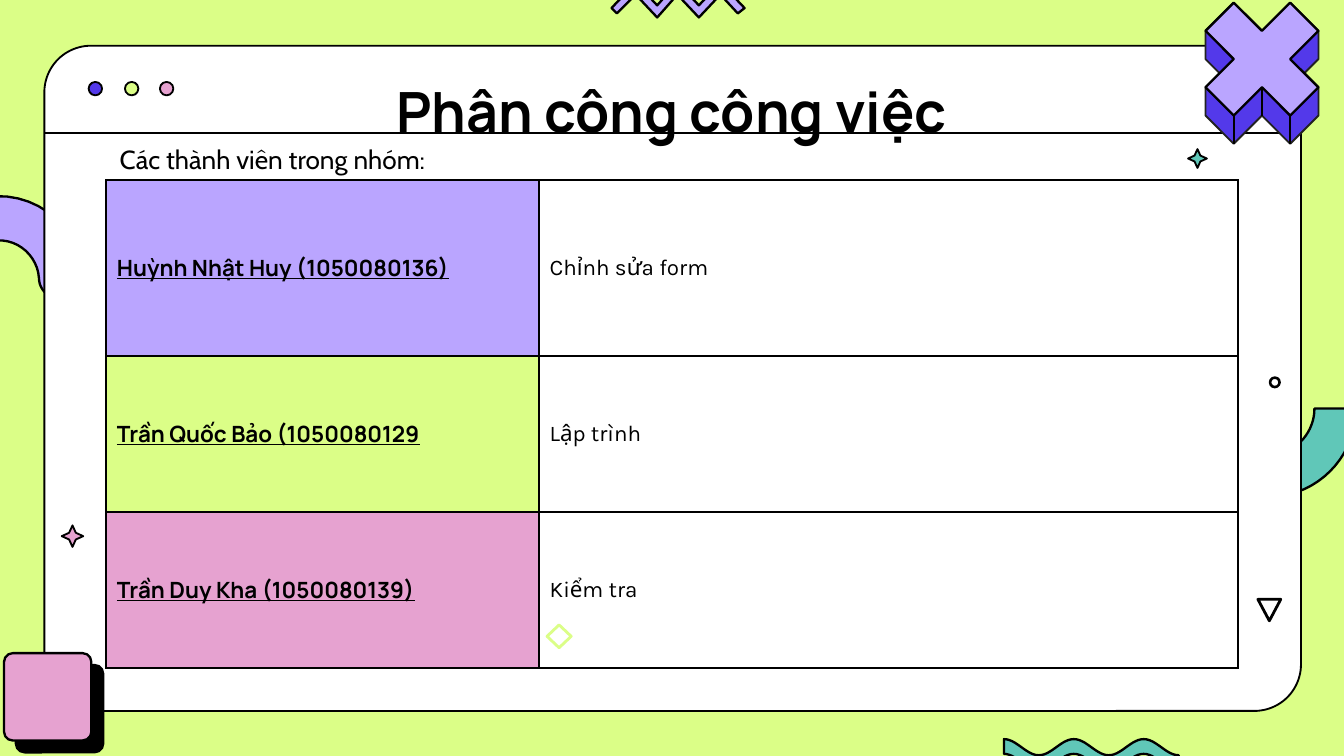
import math

import lxml.etree
import pptx
import pptx.dml.color
import pptx.enum.shapes
import pptx.enum.text
import pptx.oxml.ns
import pptx.util

Inches = pptx.util.Inches
Pt = pptx.util.Pt
RGBColor = pptx.dml.color.RGBColor
MSO_SHAPE = pptx.enum.shapes.MSO_SHAPE
PP_ALIGN = pptx.enum.text.PP_ALIGN
MSO_ANCHOR = pptx.enum.text.MSO_ANCHOR
qn = pptx.oxml.ns.qn

BLACK = RGBColor(0x00, 0x00, 0x00)
INK = RGBColor(0x22, 0x22, 0x21)
WHITE = RGBColor(0xFF, 0xFF, 0xFF)
LIME = RGBColor(0xDB, 0xFE, 0x87)
LILAC = RGBColor(0xBA, 0xA5, 0xFF)
VIOLET = RGBColor(0x53, 0x39, 0xEA)
PINK = RGBColor(0xE6, 0xA2, 0xD0)
TEAL = RGBColor(0x60, 0xC7, 0xB8)


def sub(parent, tag, **attrs):
    """Append a DrawingML child element with the given attributes."""
    return lxml.etree.SubElement(parent, qn(tag), {k: str(v) for k, v in attrs.items()})


def curve(start, *beziers, steps=12):
    """Return the points along a chain of cubic curves."""
    pts = [start]
    for x1, y1, x2, y2, x3, y3 in beziers:
        x0, y0 = pts[-1]
        for i in range(1, steps + 1):
            t = i / steps
            u = 1 - t
            a, b, c, d = u ** 3, 3 * u * u * t, 3 * u * t * t, t ** 3
            pts.append((a * x0 + b * x1 + c * x2 + d * x3, a * y0 + b * y1 + c * y2 + d * y3))
    return pts


def arc(cx, cy, radius, steps=36):
    """Return the points of the lower half of a circle, right to left."""
    angles = [math.pi * i / steps for i in range(steps + 1)]
    return [(cx + radius * math.cos(a), cy + radius * math.sin(a)) for a in angles]


class Slide:
    """Holds the style and the current slide and draws each kind of element."""

    def __init__(self, prs, background):
        self.s = prs.slides.add_slide(prs.slide_layouts[1])
        self.s.background.fill.solid()
        self.s.background.fill.fore_color.rgb = background

    def paint(self, sp, fill, line, width):
        """Set fill and outline and remove the shadow."""
        sp.shadow.inherit = False
        if fill is None:
            sp.fill.background()
        else:
            sp.fill.solid()
            sp.fill.fore_color.rgb = fill
        if line is None:
            sp.line.fill.background()
        else:
            sp.line.color.rgb = line
            sp.line.width = Pt(width)
        return sp

    def shape(self, kind, x, y, w, h, fill, line=BLACK, width=1, adj=None):
        """Add a preset shape."""
        sp = self.s.shapes.add_shape(kind, Inches(x), Inches(y), Inches(w), Inches(h))
        if adj is not None:
            sp.adjustments[0] = adj
        return self.paint(sp, fill, line, width)

    def outline(self, points, fill, line=BLACK, width=1.25):
        """Add a closed freeform through the points."""
        pts = [(Inches(x), Inches(y)) for x, y in points]
        builder = self.s.shapes.build_freeform(*pts[0], scale=1.0)
        builder.add_line_segments(pts[1:], close=True)
        return self.paint(builder.convert_to_shape(), fill, line, width)

    def line(self, x1, y1, x2, y2, width=1):
        """Add a straight black line."""
        straight = pptx.enum.shapes.MSO_CONNECTOR.STRAIGHT
        cn = self.s.shapes.add_connector(straight, Inches(x1), Inches(y1), Inches(x2), Inches(y2))
        cn.line.color.rgb = BLACK
        cn.line.width = Pt(width)
        sub(cn.element.spPr, "a:effectLst")

    def drop_shadow(self, sp, distance):
        """Give a shape a hard black shadow to the lower right."""
        effects = sp.element.spPr.find(qn("a:effectLst"))
        shadow = sub(effects, "a:outerShdw", blurRad=0, dist=Pt(distance), dir=45 * 60000,
                     algn="bl", rotWithShape=0)
        sub(shadow, "a:srgbClr", val=BLACK)

    def run(self, p, text, size, font, bold=False, underline=False):
        """Add a formatted run to a paragraph."""
        r = p.add_run()
        r.text = text
        r.font.size = Pt(size)
        r.font.name = font
        r.font.bold = bold
        r.font.underline = underline
        r.font.color.rgb = BLACK

    def placeholder(self, index, x, y, w, h, anchor, align):
        """Place a template placeholder in front and return its paragraph."""
        sp = self.s.placeholders[index]
        sp.left, sp.top, sp.width, sp.height = Inches(x), Inches(y), Inches(w), Inches(h)
        sp.element.getparent().append(sp.element)
        tf = sp.text_frame
        tf.auto_size = pptx.enum.text.MSO_AUTO_SIZE.NONE
        tf.word_wrap = True
        tf.vertical_anchor = anchor
        p = tf.paragraphs[0]
        p.alignment = align
        p.line_spacing = 0.9
        return p

    def title(self, text, *box):
        """Fill the title placeholder."""
        p = self.placeholder(0, *box, MSO_ANCHOR.MIDDLE, PP_ALIGN.CENTER)
        self.run(p, text, 29.7, "Manrope", bold=True)

    def body(self, text, *box):
        """Fill the body placeholder with one unbulleted paragraph."""
        p = self.placeholder(1, *box, MSO_ANCHOR.TOP, PP_ALIGN.LEFT)
        p.space_before = Pt(7.5)
        pPr = p._p.get_or_add_pPr()
        pPr.set("marL", "0")
        pPr.set("indent", "0")
        sub(pPr, "a:buNone")
        self.run(p, text, 14, "Cabin")

    def cell(self, cell, text, fill, font, strong, after=None):
        """Format one table cell with a black border."""
        cell.margin_left = cell.margin_right = cell.margin_top = cell.margin_bottom = Inches(0.08)
        cell.vertical_anchor = MSO_ANCHOR.MIDDLE
        tcPr = cell._tc.get_or_add_tcPr()
        for side in ("a:lnL", "a:lnR", "a:lnT", "a:lnB"):
            ln = sub(tcPr, side, w=Pt(1))
            sub(sub(ln, "a:solidFill"), "a:srgbClr", val=BLACK)
        cell.fill.solid()
        cell.fill.fore_color.rgb = fill
        p = cell.text_frame.paragraphs[0]
        if after:
            p.space_after = Pt(after)
        self.run(p, text, 12, font, strong, strong)

    def table(self, rows, x, y, widths, heights):
        """Add the table of members and their tasks."""
        gf = self.s.shapes.add_table(len(rows), len(widths), Inches(x), Inches(y),
                                     Inches(sum(widths)), Inches(sum(heights)))
        table = gf.table
        table.first_row = table.horz_banding = False
        for column, width in zip(table.columns, widths):
            column.width = Inches(width)
        for i, (member, task, fill) in enumerate(rows):
            table.rows[i].height = Inches(heights[i])
            self.cell(table.cell(i, 0), member, fill, "Manrope", True)
            self.cell(table.cell(i, 1), task, WHITE, "Karla", False, after=16)

    def cross(self, cx, cy, u):
        """Draw the solid cross with its sides and vertical edges."""
        def place(points):
            return [(cx + u * x, cy + u * y) for x, y in points]
        right = [(1, -2), (2, -1), (2, 0), (1.5, 0.5), (2, 1), (2, 2), (1, 3), (0, 2)]
        left = [(-x, y) for x, y in reversed(right[:-1])]
        self.outline(place(right + left + [(0, -1)]), VIOLET, INK, 1)
        right = [(0, -1), (1, -2), (2, -1), (1, 0), (2, 1), (1, 2), (0, 1)]
        self.outline(place(right + [(-x, y) for x, y in reversed(right[1:-1])]), LILAC)
        for x, y in ((1, 2), (-1, 2), (0, 1)):
            (x1, y1), (x2, y2) = place([(x, y), (x, y + 1)])
            self.line(x1, y1, x2, y2, 1.25)


def main():
    """Build the slide of task assignments."""
    prs = pptx.Presentation()
    prs.slide_width = Inches(10)
    prs.slide_height = prs.slide_width * 9 // 16
    slide = Slide(prs, LIME)

    slide.outline(curve(
        (-0.3, 1.54), (-0.22, 1.49, -0.13, 1.47, -0.03, 1.46), (0.31, 1.45, 0.6, 1.71, 0.61, 2.06),
        (0.62, 2.15, 0.55, 2.22, 0.46, 2.22), (0.37, 2.23, 0.29, 2.16, 0.29, 2.07),
        (0.28, 1.91, 0.14, 1.78, -0.02, 1.79), (-0.1, 1.79, -0.17, 1.83, -0.22, 1.88),
        (-0.28, 1.94, -0.3, 2.02, -0.3, 2.1), (-0.3, 2.19, -0.37, 2.26, -0.46, 2.27),
        (-0.55, 2.27, -0.62, 2.2, -0.62, 2.11), (-0.64, 1.86, -0.5, 1.64, -0.3, 1.54)), LILAC)
    slide.outline(arc(9.43, 3.04, 0.66) + arc(9.43, 3.04, 0.35)[::-1], TEAL)
    slide.shape(MSO_SHAPE.ROUNDED_RECTANGLE, 0.33, 0.34, 9.35, 4.95, WHITE, adj=0.07)
    slide.line(0.33, 0.99, 9.67, 0.99)

    slide.title("Phân công công việc", 0.79, 0.65, 8.42, 0.4)
    slide.body("Các thành viên trong nhóm:", 0.79, 1.04, 8.42, 2.22)
    slide.table([("Huỳnh Nhật Huy (1050080136)", "Chỉnh sửa form", LILAC),
                 ("Trần Quốc Bảo (1050080129", "Lập trình", LIME),
                 ("Trần Duy Kha (1050080139)", "Kiểm tra", PINK)],
                0.79, 1.34, (3.22, 5.2), (1.31, 1.16, 1.16))

    slide.shape(MSO_SHAPE.STAR_4_POINT, 0.46, 3.91, 0.16, 0.16, PINK, adj=0.22)
    slide.shape(MSO_SHAPE.STAR_4_POINT, 8.84, 1.11, 0.14, 0.14, TEAL, adj=0.22)
    slide.shape(MSO_SHAPE.FLOWCHART_MERGE, 9.36, 4.46, 0.17, 0.16, None, width=1.5)
    slide.shape(MSO_SHAPE.DIAMOND, 4.07, 4.65, 0.18, 0.17, None, LIME, 1.5)
    slide.shape(MSO_SHAPE.DONUT, 9.44, 2.8, 0.09, 0.09, BLACK, None, adj=0.22)
    slide.cross(9.39, 0.44, 0.21)
    square = slide.shape(MSO_SHAPE.ROUNDED_RECTANGLE, 0.03, 4.86, 0.65, 0.65, PINK, width=1.25, adj=0.1)
    slide.drop_shadow(square, 9)
    for x, fill in ((0.66, VIOLET), (0.93, LIME), (1.19, PINK)):
        slide.shape(MSO_SHAPE.OVAL, x, 0.61, 0.1, 0.1, fill)

    slide.outline([(4.55, 0.06), (4.73, -0.13), (4.89, 0.04), (5.04, -0.13), (5.2, 0.04),
                   (5.36, -0.13), (5.54, 0.06), (5.49, 0.1), (5.36, -0.04), (5.2, 0.13),
                   (5.04, -0.04), (4.89, 0.13), (4.73, -0.04), (4.59, 0.1)], LILAC)
    crest = [(7.47 + 0.02 * i, 5.56 - 0.06 * math.cos(math.pi * i / 13)) for i in range(66)]
    slide.outline(crest + [(x, y + 0.11) for x, y in reversed(crest)], TEAL)

    prs.save("out.pptx")


if __name__ == "__main__":
    main()
